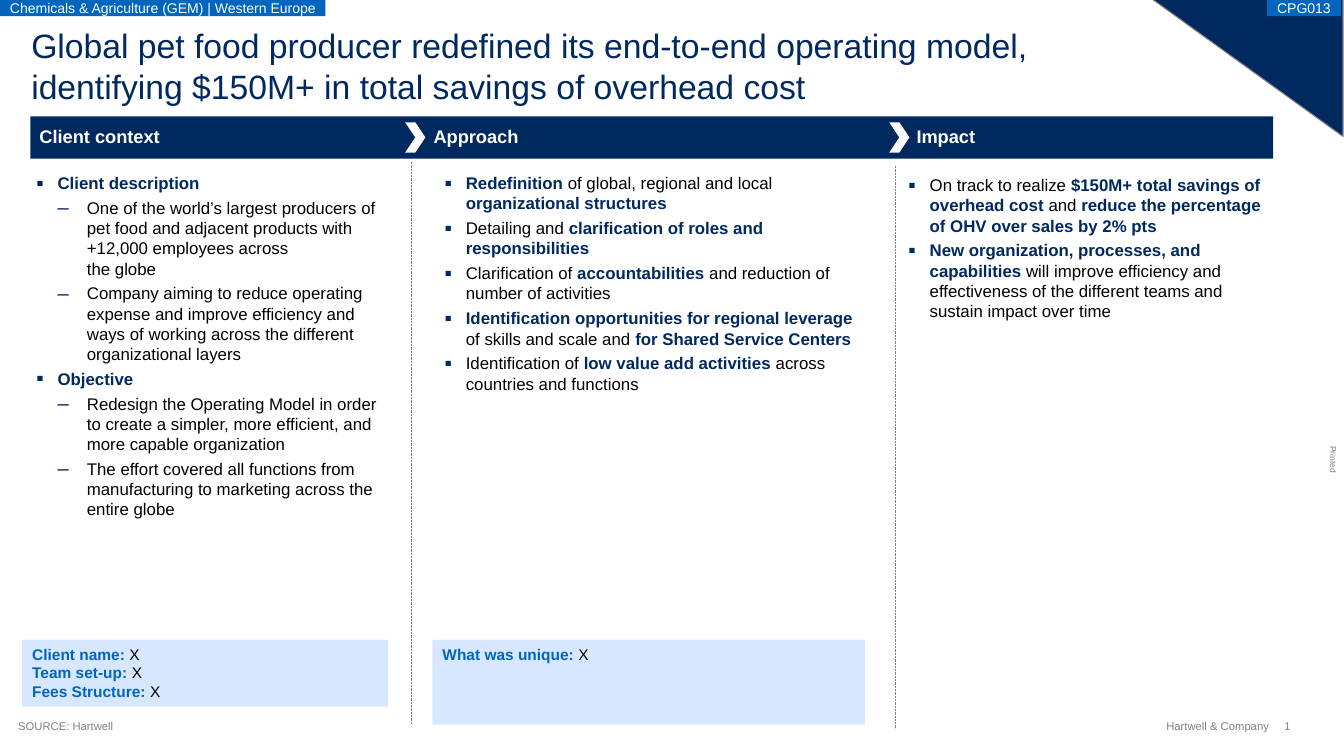
from lxml import etree
from pptx import Presentation
from pptx.dml.color import RGBColor
from pptx.enum.dml import MSO_LINE
from pptx.enum.shapes import MSO_CONNECTOR, MSO_SHAPE
from pptx.enum.text import MSO_ANCHOR, PP_ALIGN
from pptx.oxml.ns import qn
from pptx.util import Emu, Pt

RECTANGLE, CHEVRON = MSO_SHAPE.RECTANGLE, MSO_SHAPE.CHEVRON
RIGHT_TRIANGLE = MSO_SHAPE.RIGHT_TRIANGLE
STRAIGHT, DOTTED = MSO_CONNECTOR.STRAIGHT, MSO_LINE.ROUND_DOT
TOP, MIDDLE, BOTTOM = MSO_ANCHOR.TOP, MSO_ANCHOR.MIDDLE, MSO_ANCHOR.BOTTOM
LEFT, RIGHT = PP_ALIGN.LEFT, PP_ALIGN.RIGHT

PX_PER_INCH = 100
NAVY, BLUE, PALE = "002960", "0065BD", "D6E7FF"
GREY, WHITE, BLACK = "808080", "FFFFFF", "000000"

# Bullet level: character, text indent, hanging indent, size in percent
BULLETS = {1: ("▪", 21, 21, 125), 2: ("–", 50, 29, 120)}

# Asterisks mark bold, coloured words
CONTEXT = [
    (1, "*Client description*"),
    (2, "One of the world’s largest producers of pet food and adjacent products "
        "with +12,000 employees across \nthe globe"),
    (2, "Company aiming to reduce operating expense and improve efficiency and "
        "ways of working across the different organizational layers"),
    (1, "*Objective*"),
    (2, "Redesign the Operating Model in order to create a simpler, more "
        "efficient, and more capable organization"),
    (2, "The effort covered all functions from manufacturing to marketing "
        "across the entire globe"),
]
APPROACH = [
    (1, "*Redefinition *of global, regional and local *organizational structures*"),
    (1, "Detailing and *clarification of roles and responsibilities*"),
    (1, "Clarification of *accountabilities* and reduction of number of activities"),
    (1, "*Identification opportunities for regional leverage *of skills and scale "
        "and *for Shared Service Centers*"),
    (1, "Identification of *low value add activities *across countries and functions"),
]
IMPACT = [
    (1, "On track to realize *$150M+ total savings of overhead cost *and"
        "* reduce the percentage of OHV over sales by 2% pts*"),
    (1, "*New organization, processes, and capabilities *will improve efficiency "
        "and effectiveness of the different teams and sustain impact over time"),
]


def px(length):
    return Emu(round(length * 914400 / PX_PER_INCH))


def rgb(color):
    return RGBColor.from_string(color)


def add_box(slide, kind, box, fill):
    shape = slide.shapes.add_shape(kind, *map(px, box))
    shape.shadow.inherit = False
    shape.fill.solid()
    shape.fill.fore_color.rgb = rgb(fill)
    shape.line.fill.background()
    return shape


def set_frame(shape, insets=(0, 0, 0, 0), anchor=TOP, wrap=True):
    frame = shape.text_frame
    frame.margin_left, frame.margin_top, frame.margin_right, frame.margin_bottom = map(px, insets)
    frame.vertical_anchor = anchor
    frame.word_wrap = wrap
    return frame


def set_font(paragraph, size, color, bold=False, align=LEFT):
    paragraph.alignment = align
    font = paragraph.font
    font.name, font.size, font.bold = "Arial", Pt(size), bold
    font.color.rgb = rgb(color)


def add_label(slide, box, text, size, color, bold=False, align=LEFT, **frame_options):
    shape = slide.shapes.add_textbox(*map(px, box))
    paragraph = set_frame(shape, **frame_options).paragraphs[0]
    paragraph.add_run().text = text
    set_font(paragraph, size, color, bold, align)
    return shape


def add_marked_text(paragraph, text, accent):
    """Turns the parts between asterisks into bold runs in the accent colour."""
    for index, part in enumerate(text.split("*")):
        for line_index, line in enumerate(part.split("\n")):
            if line_index:
                paragraph.add_line_break()
            if line:
                run = paragraph.add_run()
                run.text = line
                if index % 2:
                    run.font.bold = True
                    run.font.color.rgb = rgb(accent)


def set_bullet(paragraph, level):
    character, indent, hanging, percent = BULLETS[level]
    properties = paragraph._p.get_or_add_pPr()
    properties.set("marL", str(px(indent)))
    properties.set("indent", str(-px(hanging)))
    bullet_color = etree.SubElement(properties, qn("a:buClr"))
    etree.SubElement(bullet_color, qn("a:srgbClr"), val=NAVY)
    etree.SubElement(properties, qn("a:buSzPct"), val=str(percent * 1000))
    etree.SubElement(properties, qn("a:buFont"), typeface="Arial")
    etree.SubElement(properties, qn("a:buChar"), char=character)


def add_paragraphs(frame, items, size, accent, space=0):
    for index, (level, text) in enumerate(items):
        paragraph = frame.add_paragraph() if index else frame.paragraphs[0]
        if level:
            set_bullet(paragraph, level)
        if index:
            paragraph.space_before = Pt(space)
        add_marked_text(paragraph, text, accent)
        set_font(paragraph, size, BLACK)


def add_tag(slide, box, text):
    shape = add_box(slide, RECTANGLE, box, BLUE)
    paragraph = set_frame(shape, (10, 0, 10, 0), MIDDLE, False).paragraphs[0]
    paragraph.add_run().text = text
    set_font(paragraph, 10, WHITE)


def add_top(slide, box):
    left, top, width, _ = box
    right = left + width
    corner = add_box(slide, RIGHT_TRIANGLE, (right - 190, top - 1, 189, 136), NAVY)
    corner.rotation = 180
    corner.line.color.rgb = rgb(GREY)
    corner.line.width = Pt(0.75)
    add_label(slide, (left + 31, top + 25, 1100, 81),
              "Global pet food producer redefined its end-to-end operating model, "
              "identifying $150M+ in total savings of overhead cost", 24, NAVY)
    add_tag(slide, (left, top, 322, 16), "Chemicals & Agriculture (GEM) | Western Europe")
    add_tag(slide, (right - 76, top, 73, 16), "CPG013")


def add_column(slide, box, heading, items, body_offset):
    left, top, width, height = box
    add_label(slide, (left, top + 9, width, 24), heading, 13, WHITE, True,
              insets=(0, 0, 0, 2), anchor=BOTTOM)
    body_x, body_y, body_width = body_offset
    body = slide.shapes.add_textbox(
        px(left + body_x), px(top + body_y), px(body_width), px(height - body_y))
    add_paragraphs(set_frame(body), items, 12, NAVY, space=3.3)


def add_divider(slide, box):
    """Places the chevron in the header band and the dotted line below it."""
    left, top, width, height = box
    add_box(slide, CHEVRON, (left, top, width, 30), WHITE)
    x = left + 6
    line = slide.shapes.add_connector(STRAIGHT, px(x), px(top + height - 557), px(x), px(top + height))
    line.line.color.rgb = rgb(GREY)
    line.line.width = Pt(0.5)
    line.line.dash_style = DOTTED
    etree.SubElement(line._element.spPr, qn("a:effectLst"))


def add_note(slide, box, lines):
    shape = add_box(slide, RECTANGLE, box, PALE)
    frame = set_frame(shape, (10, 5, 10, 5))
    add_paragraphs(frame, [(None, line) for line in lines], 11, BLUE)


def add_footer(slide, box):
    left, top, width, height = box
    right = left + width
    add_label(slide, (left + 18, top, 787, height), "SOURCE: Hartwell", 8, GREY, anchor=BOTTOM)
    add_label(slide, (right - 187, top, 113, height), "Hartwell & Company", 8, GREY,
              align=RIGHT, anchor=MIDDLE, wrap=False)
    add_label(slide, (right - 59, top, 14, height), "1", 8, GREY, anchor=MIDDLE, wrap=False)
    printed = add_label(slide, (right - 24, top - 262, 27, 10), "Printed", 6, GREY, wrap=False)
    printed.rotation = 90


def main():
    presentation = Presentation()
    presentation.slide_width, presentation.slide_height = px(1330), px(735)
    slide = presentation.slides.add_slide(presentation.slide_layouts[6])
    add_top(slide, (0, 0, 1330, 136))
    add_box(slide, RECTANGLE, (30, 115, 1230, 42), NAVY)
    add_column(slide, (39, 115, 291, 409), "Client context", CONTEXT, (-3, 56, 339))
    add_column(slide, (429, 115, 349, 282), "Approach", APPROACH, (11, 56, 411))
    add_column(slide, (907, 115, 317, 205), "Impact", IMPACT, (-8, 58, 355))
    add_divider(slide, (401, 121, 20, 596))
    add_divider(slide, (880, 121, 20, 600))
    add_note(slide, (22, 633, 362, 66),
             ["*Client name: *X", "*Team set-up: *X", "*Fees Structure: *X"])
    add_note(slide, (428, 633, 428, 84), ["*What was unique: *X"])
    add_footer(slide, (0, 712, 1330, 13))
    presentation.save("out.pptx")


if __name__ == "__main__":
    main()
